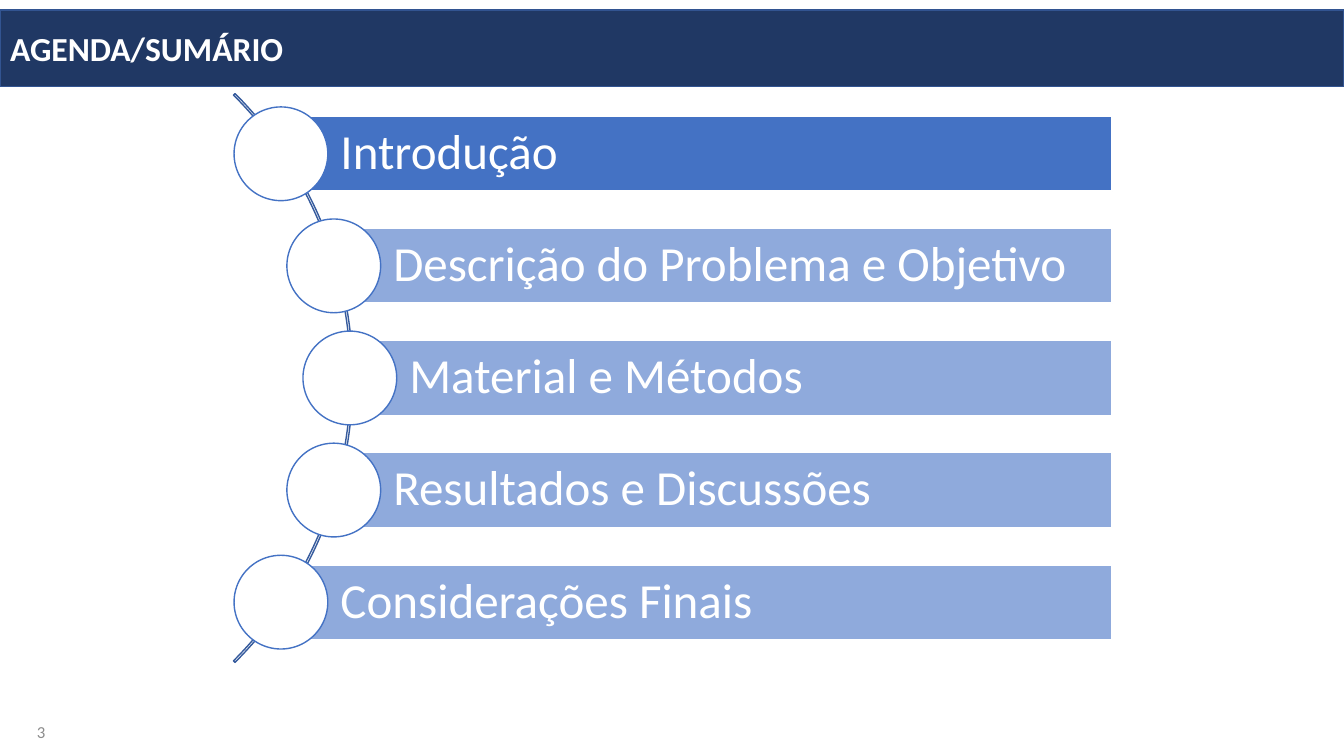
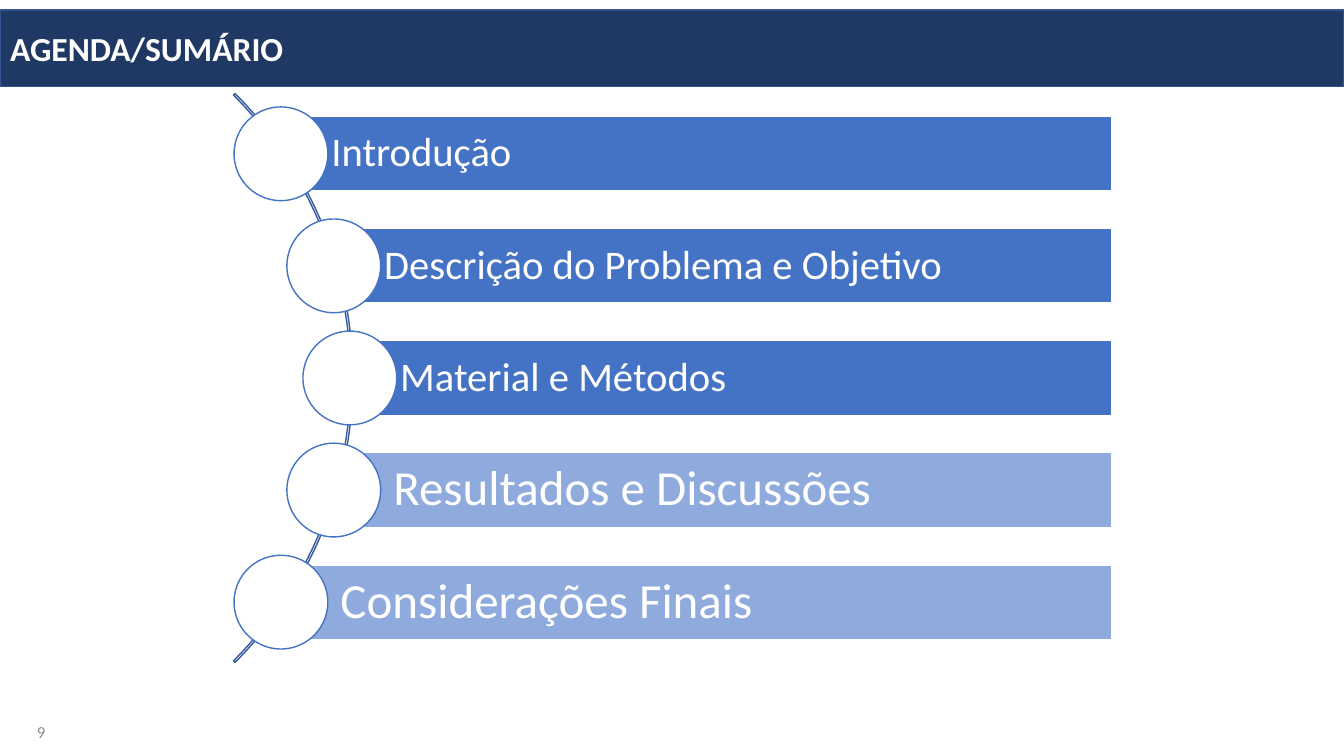
from dataclasses import dataclass
from math import sqrt

from pptx import Presentation
from pptx.dml.color import RGBColor
from pptx.enum.shapes import MSO_SHAPE
from pptx.enum.text import MSO_ANCHOR, MSO_AUTO_SIZE, PP_ALIGN
from pptx.util import Inches, Pt

RECTANGLE = MSO_SHAPE.RECTANGLE
OVAL = MSO_SHAPE.OVAL
BLOCK_ARC = MSO_SHAPE.BLOCK_ARC
MIDDLE = MSO_ANCHOR.MIDDLE
NO_AUTOFIT = MSO_AUTO_SIZE.NONE
LEFT = PP_ALIGN.LEFT
RIGHT = PP_ALIGN.RIGHT
TITLE_ONLY = 5


@dataclass(frozen=True)
class Theme:
    """Colours, font and type sizes shared by the slides."""
    font: str = "Calibri"
    band: str = "203864"
    band_line: str = "325491"
    arc_line: str = "365B9D"
    active: str = "4472C4"
    pending: str = "8FAADC"
    white: str = "FFFFFF"
    grey: str = "8C8C8C"
    title_size: int = 24
    topic_size: int = 35
    done_size: int = 29
    number_size: int = 12


@dataclass(frozen=True)
class Box:
    """A region of the slide, in inches."""
    left: float
    top: float
    width: float
    height: float

    def lengths(self):
        """Return the four sides as slide lengths."""
        return [Inches(side) for side in (self.left, self.top, self.width, self.height)]


THEME = Theme()
PAGE = Box(0, 0, 13.33, 7.5)
TITLE_BOX = Box(0, 0.1, PAGE.width, 0.76)
AGENDA_BOX = Box(2.32, 0.97, 8.71, 5.56)
NUMBER_BOX = Box(0.08, 7.06, 0.47, 0.4)

TITLE = "AGENDA/SUMÁRIO"
TOPICS = [
    "Introdução",
    "Descrição do Problema e Objetivo",
    "Material e Métodos",
    "Resultados e Discussões",
    "Considerações Finais",
]
AGENDA_PAGES = [
    {"number": 3, "active": 1, "done": 0},
    {"number": 9, "active": 3, "done": 3},
]

BAR_HEIGHT = 0.74
CIRCLE_SIZE = 0.93
ARC_SIZE = 7.98
ARC_OFFSET = -2.81
PATH_RADIUS = 3.96
ARC_ADJUSTMENTS = (189, 27, 0.0027)
TOPIC_INSETS = (0.59, 0.1, 0.1, 0.1)
DONE_INSETS = (0.5, 0.08, 0.08, 0.08)
TITLE_INSETS = (0.1, 0.05, 0.1, 0.05)


def set_attributes(target, values):
    """Set each named attribute of the target."""
    for name, value in values.items():
        setattr(target, name, value)


def paint(shape, fill, line):
    """Give a shape its fill, if any, and a one-point line."""
    if fill:
        shape.fill.solid()
        shape.fill.fore_color.rgb = RGBColor.from_string(fill)
    else:
        shape.fill.background()
    shape.line.color.rgb = RGBColor.from_string(line)
    shape.line.width = Pt(1)


def write(shape, text, size, color, insets=TITLE_INSETS, bold=False,
          align=LEFT, spacing=1.0):
    """Write one formatted paragraph in a shape."""
    frame = shape.text_frame
    sides = ("margin_left", "margin_top", "margin_right", "margin_bottom")
    set_attributes(frame, {"word_wrap": True, "auto_size": NO_AUTOFIT,
                           "vertical_anchor": MIDDLE})
    set_attributes(frame, dict(zip(sides, map(Inches, insets))))
    para = frame.paragraphs[0]
    set_attributes(para, {"alignment": align, "line_spacing": spacing})
    span = para.add_run()
    span.text = text
    set_attributes(span.font, {"name": THEME.font, "size": Pt(size), "bold": bold})
    span.font.color.rgb = RGBColor.from_string(color)


def add_figure(page, kind, box, fill, line):
    """Add a painted preset shape without shadow."""
    figure = page.shapes.add_shape(kind, *box.lengths())
    figure.shadow.inherit = False
    paint(figure, fill, line)
    return figure


def place_title(page, box):
    """Turn the title placeholder into the top band."""
    title = page.shapes.title
    set_attributes(title, dict(zip(("left", "top", "width", "height"), box.lengths())))
    paint(title, THEME.band, THEME.band_line)
    write(title, TITLE, THEME.title_size, THEME.white, bold=True)


def place_number(page, box, number):
    """Add the page number."""
    label = page.shapes.add_textbox(*box.lengths())
    write(label, str(number), THEME.number_size, THEME.grey, align=RIGHT)


def place_topic(page, box, text, active, done):
    """Add one topic bar with the circle at its left end."""
    bar = add_figure(page, RECTANGLE, box,
                     THEME.active if active else THEME.pending, THEME.white)
    write(bar, text, THEME.done_size if done else THEME.topic_size, THEME.white,
          insets=DONE_INSETS if done else TOPIC_INSETS, spacing=0.9)
    circle = Box(box.left - CIRCLE_SIZE / 2,
                 box.top + (box.height - CIRCLE_SIZE) / 2, CIRCLE_SIZE, CIRCLE_SIZE)
    add_figure(page, OVAL, circle, THEME.white, THEME.active)


def place_agenda(page, box, active, done):
    """Place the arc and spread the topics along it."""
    center_x = box.left + ARC_OFFSET
    center_y = box.top + box.height / 2
    arc = add_figure(page, BLOCK_ARC,
                     Box(center_x - ARC_SIZE / 2, center_y - ARC_SIZE / 2,
                         ARC_SIZE, ARC_SIZE), None, THEME.arc_line)
    for index, value in enumerate(ARC_ADJUSTMENTS):
        arc.adjustments[index] = value
    pitch = box.height / len(TOPICS)
    for index, text in enumerate(TOPICS):
        offset = (index - (len(TOPICS) - 1) / 2) * pitch
        left = center_x + sqrt(PATH_RADIUS ** 2 - offset ** 2)
        bar = Box(left, center_y + offset - BAR_HEIGHT / 2,
                  box.left + box.width - left, BAR_HEIGHT)
        place_topic(page, bar, text, index < active, index < done)


def add_agenda_page(deck, number, active, done):
    """Add one agenda slide."""
    page = deck.slides.add_slide(deck.slide_layouts[TITLE_ONLY])
    place_title(page, TITLE_BOX)
    place_agenda(page, AGENDA_BOX, active, done)
    place_number(page, NUMBER_BOX, number)


def main():
    """Build and save the deck."""
    deck = Presentation()
    set_attributes(deck, {"slide_width": Inches(PAGE.width),
                          "slide_height": Inches(PAGE.height)})
    for agenda in AGENDA_PAGES:
        add_agenda_page(deck, **agenda)
    deck.save("out.pptx")


if __name__ == "__main__":
    main()
